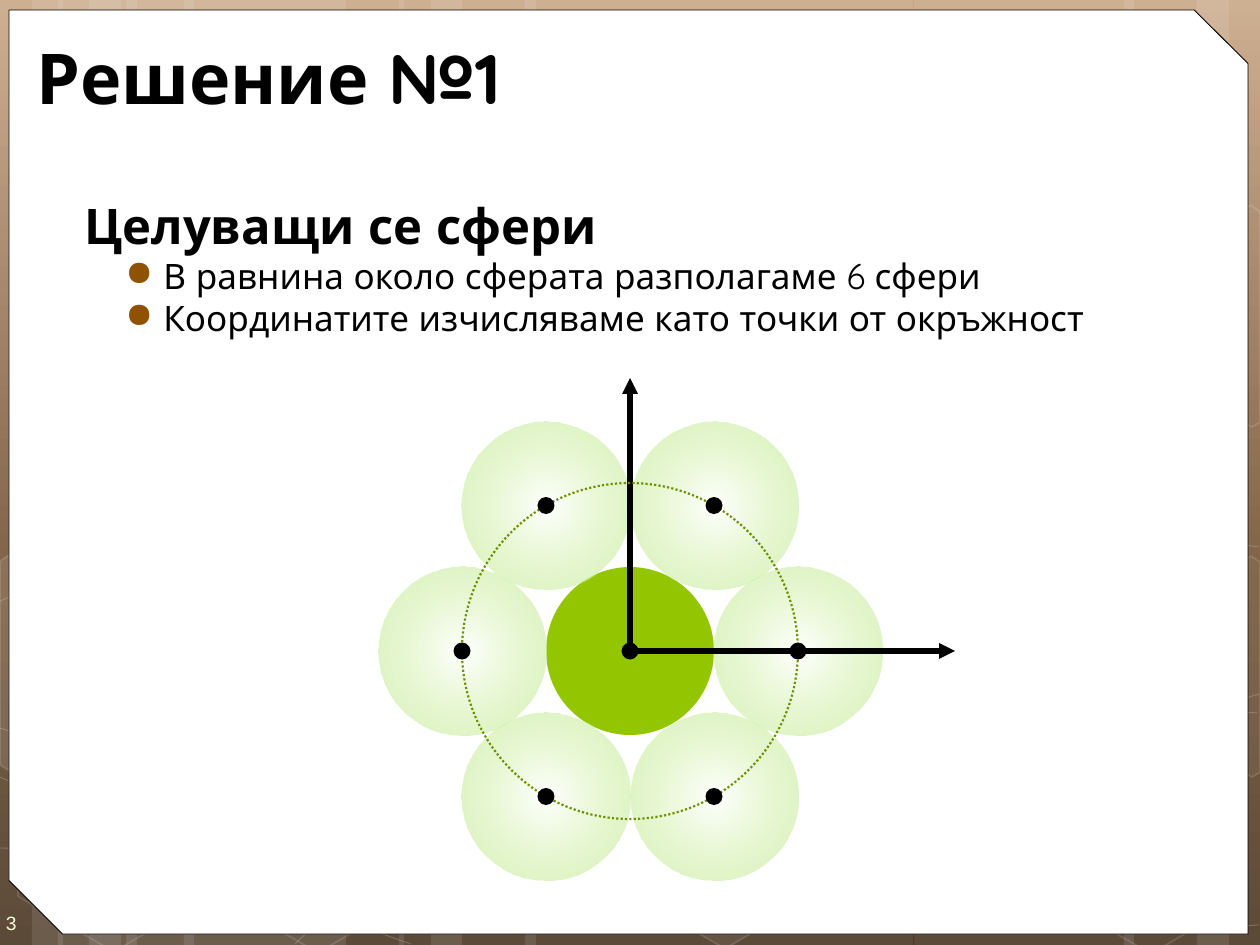
import math

from lxml import etree
from pptx import Presentation, util as u
from pptx.dml.color import RGBColor
from pptx.enum import dml, shapes, text
from pptx.oxml.ns import qn

SCALE = u.Inches(1) / 126
FONT = "Quicksand"
BLACK, WHITE = "000000", "FFFFFF"
KIND = shapes.MSO_SHAPE
CENTER_X, CENTER_Y = 630, 651
SPHERE = 168  # diameter, and so the distance between touching centres
DOT = 17

# left, width
BANDS = [(126, 220), (0, 63), (32, 105), (184, 220), (58, 63), (89, 105),
         (914, 220), (1197, 63), (1124, 105), (525, 388), (399, 63), (431, 105)]
# left, top, fill opacity, line opacity
HEXAGONS = [(413, 394, 10, 12), (513, 568, 0, 12), (514, 219, 7, 8), (411, 45, 4, 8),
            (615, 742, 6, 12), (4, 745, 0, 12), (8, 393, 7, 8), (107, 568, 0, 12),
            (208, 746, 0, 12), (210, 394, 7, 8), (110, 215, 0, 12), (937, 571, 10, 12),
            (1041, 747, 0, 12), (1041, 396, 7, 8)]
# corners, fill opacity
EDGE_HEXAGONS = [
    ([(0, 561), (14, 552), (110, 607), (110, 718), (15, 774), (0, 765)], 10),
    ([(1157, 611), (1251, 556), (1260, 562), (1260, 772), (1252, 777), (1155, 722)], 4),
    ([(1157, 261), (1251, 205), (1260, 212), (1260, 422), (1252, 427), (1155, 372)], 0),
]
WAVES = [
    [(0, 848), (229, 854), (567, 838), (987, 777), (1259, 694)],
    [(0, 601), (142, 543), (427, 488), (814, 488), (1259, 547)],
    [(0, 777), (205, 872), (411, 944)],
    [(0, 728), (151, 776), (438, 848), (781, 905), (1063, 927), (1181, 930), (1259, 925)],
    [(295, 944), (370, 871), (478, 805), (581, 767), (756, 728), (847, 717), (990, 708),
     (1189, 708), (1257, 713)],
]


def px(length):
    return u.Emu(round(length * SCALE))


def rgb(value):
    return RGBColor.from_string(value)


def assign(target, values):
    for name, value in values.items():
        setattr(target, name, value)


def child(parent, tag, **attributes):
    return etree.SubElement(parent, qn(tag), attributes)


def set_color(fill, holder, color, opacity=100):
    """Give fill, whose XML sits directly inside holder, one colour."""
    fill.solid()
    fill.fore_color.rgb = rgb(color)
    if opacity < 100:
        child(holder.find(qn("a:solidFill"))[0], "a:alpha", val=str(opacity * 1000))


def set_gradient(holder, stops, angle=None):
    """Swap holder's solid fill for a linear gradient, or a radial one without angle."""
    gradient = etree.Element(qn("a:gradFill"), rotWithShape="1")
    stop_list = child(gradient, "a:gsLst")
    for position, color, opacity in stops:
        stop = child(stop_list, "a:gs", pos=str(position * 1000))
        child(child(stop, "a:srgbClr", val=color), "a:alpha", val=str(opacity * 1000))
    if angle is None:
        radial = child(gradient, "a:path", path="circle")
        child(radial, "a:fillToRect", **dict.fromkeys("ltrb", "50000"))
    else:
        child(gradient, "a:lin", ang=str(angle * 60000), scaled="0")
    holder.replace(holder.find(qn("a:solidFill")), gradient)


def paint(shape, fill=None, opacity=100, line=None, weight=1, line_opacity=100):
    shape.shadow.inherit = False
    shape.fill.background()
    shape.line.fill.background()
    properties = shape._element.spPr
    if fill and opacity:
        set_color(shape.fill, properties, fill, opacity)
    if line:
        shape.line.width = u.Pt(weight)
        set_color(shape.line.fill, properties.find(qn("a:ln")), line, line_opacity)
    return shape


def add_preset(slide, kind, left, top, width, height, **look):
    box = map(px, (left, top, width, height))
    return paint(slide.shapes.add_shape(kind, *box), **look)


def add_circle(slide, x, y, diameter, **look):
    corner = x - diameter / 2, y - diameter / 2
    return add_preset(slide, KIND.OVAL, *corner, diameter, diameter, **look)


def add_outline(slide, points, close, **look):
    corners = [(px(x), px(y)) for x, y in points]
    builder = slide.shapes.build_freeform(*corners[0])
    builder.add_line_segments(corners[1:], close=close)
    return paint(builder.convert_to_shape(), **look)


def add_axis(slide, end_x, end_y):
    ends = map(px, (CENTER_X, CENTER_Y, end_x, end_y))
    axis = slide.shapes.add_connector(shapes.MSO_CONNECTOR.STRAIGHT, *ends)
    axis.line.width = u.Pt(3)
    axis.line.color.rgb = rgb(BLACK)
    child(axis._element.spPr.find(qn("a:ln")), "a:tailEnd", type="triangle")
    child(axis._element.spPr, "a:effectLst")


def add_text_frame(slide, left, top, width, height, **layout):
    frame = slide.shapes.add_textbox(*map(px, (left, top, width, height))).text_frame
    assign(frame, {"word_wrap": True, **layout})
    return frame


def write(paragraph, wording, size, color=BLACK, bold=False, font=FONT):
    run = paragraph.add_run()
    run.text = wording
    assign(run.font, {"size": u.Pt(size), "bold": bold, "name": font})
    run.font.color.rgb = rgb(color)


def indent(paragraph, margin, hanging=0, bullet_color=None):
    properties = paragraph._p.get_or_add_pPr()
    properties.set("marL", str(px(margin)))
    properties.set("indent", str(-px(hanging)))
    if bullet_color:
        child(child(properties, "a:buClr"), "a:srgbClr", val=bullet_color)
        child(properties, "a:buChar", char="●")


def add_backdrop(slide):
    slide.background.fill.solid()
    slide.background.fill.fore_color.rgb = rgb(WHITE)
    set_gradient(slide._element.find(".//" + qn("p:bgPr")),
                 [(0, "C8A685", 100), (62, "705032", 100), (100, "4A3622", 100)], 90)
    for left, width in BANDS:
        add_preset(slide, KIND.RECTANGLE, left, 0, width, 945, fill=WHITE, opacity=10)
    for wave in WAVES:
        add_outline(slide, wave, False, line=WHITE, weight=0.5, line_opacity=20)
    for left, top, opacity, line_opacity in HEXAGONS:
        hexagon = add_preset(slide, KIND.HEXAGON, left, top, 220, 192, fill=WHITE,
                             opacity=opacity, line=WHITE, line_opacity=line_opacity)
        hexagon.rotation = 30
        hexagon.adjustments[0] = 0.285
    for corners, opacity in EDGE_HEXAGONS:
        add_outline(slide, corners, True, fill=WHITE, opacity=opacity,
                    line=WHITE, line_opacity=12)
    panel = add_preset(slide, KIND.SNIP_2_DIAG_RECTANGLE, 9, 10, 1239, 924,
                       fill=WHITE, line=BLACK, weight=0.5)
    panel.adjustments[0], panel.adjustments[1] = 0, 0.058


def add_wording(slide):
    middle = text.MSO_ANCHOR.MIDDLE
    number = add_text_frame(slide, 0, 895, 73, 50, vertical_anchor=middle, margin_left=px(6),
                            margin_top=px(19), margin_right=0, margin_bottom=px(13))
    write(number.paragraphs[0], "3", 11, "EEFFD6", font="Arial")
    title = add_text_frame(slide, 24, 32, 1193, 89, vertical_anchor=middle)
    write(title.paragraphs[0], "Решение №1", 40, bold=True)
    body = add_text_frame(slide, 63, 189, 1187, 746)
    indent(body.paragraphs[0], 9)
    write(body.paragraphs[0], "Целуващи се сфери", 28, bold=True)
    for point in ("В равнина около сферата разполагаме 6 сфери",
                  "Координатите изчисляваме като точки от окръжност"):
        paragraph = body.add_paragraph()
        indent(paragraph, 88, 38, "8F5201")
        write(paragraph, point, 20)


def add_kissing_spheres(slide):
    angles = [math.radians(60 * i) for i in range(6)]
    centers = [(CENTER_X + SPHERE * math.cos(a), CENTER_Y - SPHERE * math.sin(a)) for a in angles]
    add_circle(slide, CENTER_X, CENTER_Y, SPHERE, fill="94C600")
    for x, y in centers:
        sphere = add_circle(slide, x, y, SPHERE, fill=WHITE)
        set_gradient(sphere._element.spPr, [(0, "C4EE8E", 0), (100, "D9F2BB", 100)])
    add_axis(slide, 955, CENTER_Y)
    add_axis(slide, CENTER_X, 378)
    orbit = add_circle(slide, CENTER_X, CENTER_Y, 2 * SPHERE, line="6D9200", weight=1.25)
    orbit.line.dash_style = dml.MSO_LINE.ROUND_DOT
    for x, y in [(CENTER_X, CENTER_Y), *centers]:
        add_circle(slide, x, y, DOT, fill=BLACK)


def main():
    deck = Presentation()
    assign(deck, {"slide_width": px(1260), "slide_height": px(945)})
    slide = deck.slides.add_slide(deck.slide_layouts[6])
    for add_part in (add_backdrop, add_wording, add_kissing_spheres):
        add_part(slide)
    deck.save("out.pptx")


if __name__ == "__main__":
    main()
